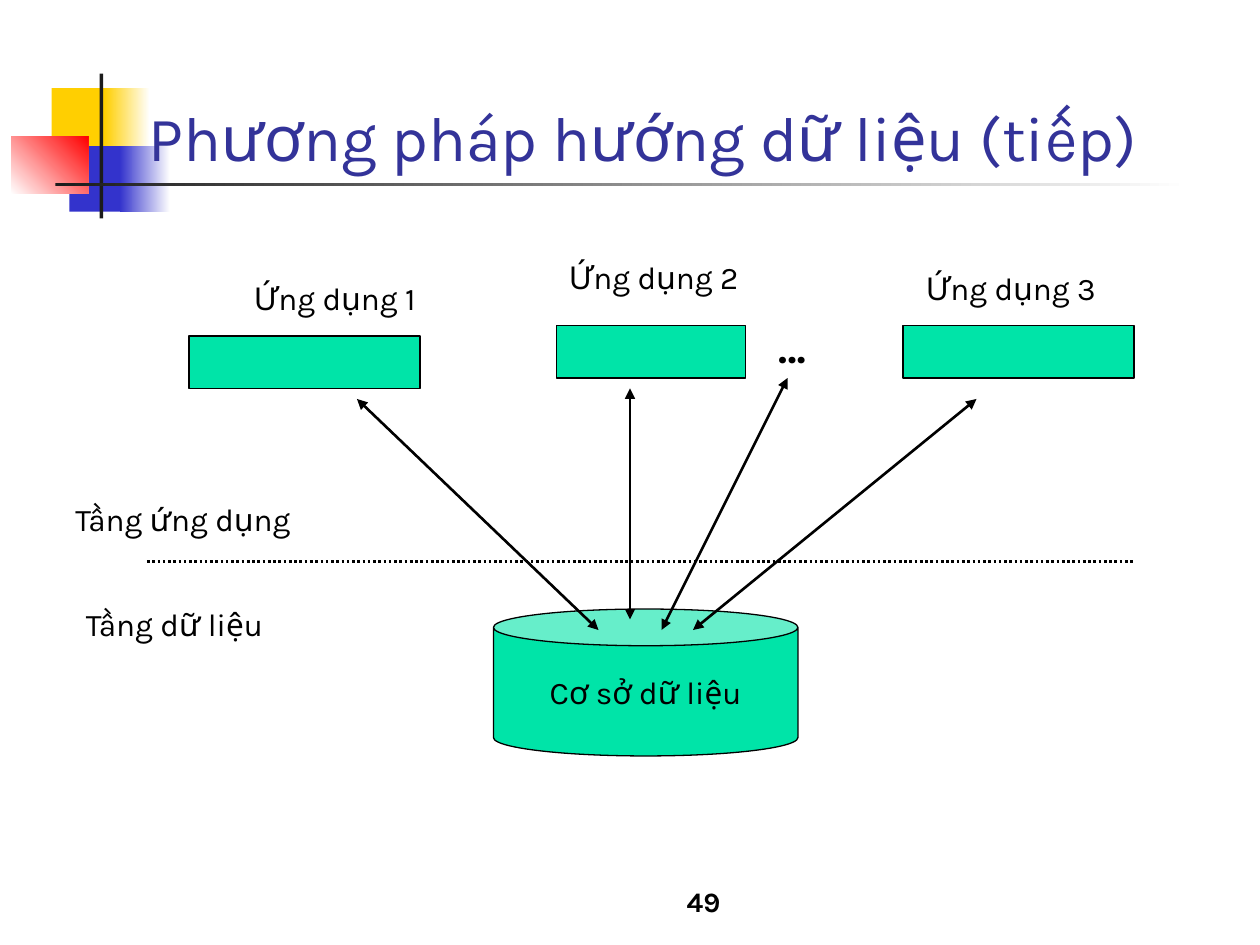
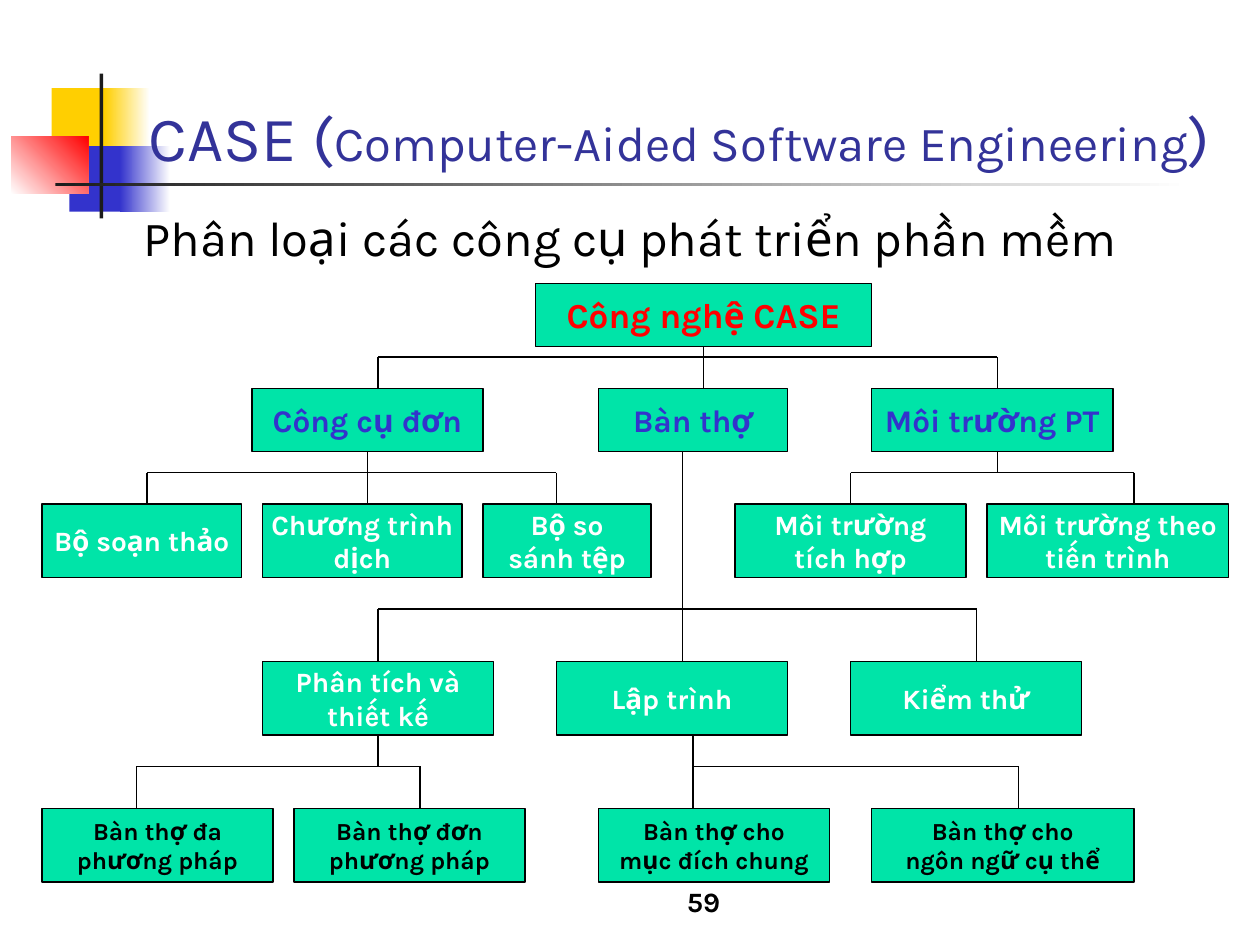
import pptx
import pptx.util
import pptx.dml.color
import pptx.enum.dml
import pptx.enum.shapes
import pptx.enum.text
import pptx.oxml
import pptx.oxml.ns

SHAPE = pptx.enum.shapes.MSO_SHAPE
ALIGN = pptx.enum.text.PP_ALIGN
ANCHOR = pptx.enum.text.MSO_ANCHOR

# Grid of 120 columns by 90 rows: twelve cells to the inch
CELL = pptx.util.Inches(1) // 12
COLS, ROWS = 120, 90

FONT = "Karla"
BLACK, WHITE, RED = "000000", "FFFFFF", "FF0000"
GREEN, BLUE, NAVY = "00E4A8", "3333CC", "333399"
YELLOW, DARK = "FFCF01", "1C1C1C"


def cells(*sizes):
    return [round(size * CELL) for size in sizes]


def paint(color):
    return pptx.dml.color.RGBColor.from_string(color)


def inside(box, left, top):
    return box[0] + left, box[1] + top


def style(frame, size, color, bold=False, align=ALIGN.LEFT, before=0):
    for para in frame.paragraphs:
        para.alignment = align
        para.space_before = pptx.util.Pt(before)
        for run in para.runs:
            run.font.name = FONT
            run.font.size = pptx.util.Pt(size)
            run.font.bold = bold
            run.font.color.rgb = paint(color)


def label(slide, box, text, size, color=BLACK, anchor=ANCHOR.TOP, **look):
    frame = slide.shapes.add_textbox(*cells(*box)).text_frame
    frame.word_wrap = True
    frame.vertical_anchor = anchor
    frame.text = text
    style(frame, size, color, **look)
    return frame


def block(slide, box, fill, kind=SHAPE.RECTANGLE, edge=None):
    shape = slide.shapes.add_shape(kind, *cells(*box))
    shape.shadow.inherit = False
    shape.fill.solid()
    shape.fill.fore_color.rgb = paint(fill)
    if edge:
        shape.line.color.rgb = paint(edge)
        shape.line.width = pptx.util.Pt(0.75)
    else:
        shape.line.fill.background()
    return shape


def node(slide, box, text="", size=18, color=BLACK, bold=False,
         kind=SHAPE.RECTANGLE):
    shape = block(slide, box, GREEN, kind, BLACK)
    frame = shape.text_frame
    frame.word_wrap = False
    frame.vertical_anchor = ANCHOR.MIDDLE
    frame.text = text
    style(frame, size, color, bold, ALIGN.CENTER)
    return shape


def fade(slide, box, first, last, angle=0):
    fill = block(slide, box, first).fill
    fill.gradient()
    fill.gradient_angle = angle
    for stop, color in zip(fill.gradient_stops, (first, last)):
        stop.color.rgb = paint(color)


def wire(slide, start, end, width=0.75, dash=None, heads=False):
    line = slide.shapes.add_connector(
        pptx.enum.shapes.MSO_CONNECTOR.STRAIGHT, *cells(*start, *end))
    line.line.color.rgb = paint(BLACK)
    line.line.width = pptx.util.Pt(width)
    if dash:
        line.line.dash_style = dash
    props = line.element.spPr
    if heads:
        edge = props.find(pptx.oxml.ns.qn("a:ln"))
        for tag in ("headEnd", "tailEnd"):
            edge.append(pptx.oxml.parse_xml(
                f'<a:{tag} {pptx.oxml.ns.nsdecls("a")} type="triangle"/>'))
    props.append(pptx.oxml.parse_xml(
        f'<a:effectLst {pptx.oxml.ns.nsdecls("a")}/>'))
    return line


# Shared frame: emblem, title and page number
def emblem(slide, box):
    def part(left, top, width, height):
        return (*inside(box, left, top), width, height)

    block(slide, part(3.92, 1.4, 5.76, 6.24), YELLOW)
    fade(slide, part(8.96, 1.4, 4.32, 6.24), YELLOW, WHITE)
    block(slide, part(5.6, 6.92, 5.52, 6.24), BLUE)
    fade(slide, part(10.4, 6.92, 4.8, 6.24), BLUE, WHITE)
    fade(slide, part(0.08, 5.96, 7.32, 5.52), WHITE, RED, 45)
    block(slide, part(8.48, 0, 0.36, 13.8), DARK)
    fade(slide, part(4.28, 10.4, 108, 0.36), DARK, WHITE)


def heading(slide, box, parts):
    frame = label(slide, box, "", 36, anchor=ANCHOR.BOTTOM)
    para = frame.paragraphs[0]
    for text, _ in parts:
        para.add_run().text = text
    style(frame, 36, NAVY)
    for run, (_, size) in zip(para.runs, parts):
        run.font.size = pptx.util.Pt(size)


def page(deck, parts, number):
    slide = deck.slides.add_slide(deck.slide_layouts[6])
    emblem(slide, (1, 7, 113, 14))
    label(slide, (48, 82, 38, 6), number, 16, anchor=ANCHOR.BOTTOM,
          bold=True, align=ALIGN.CENTER)
    heading(slide, (13, 6, 104, 11.16), parts)
    return slide


# Applications sharing one database
def layers(slide, box):
    node(slide, (*inside(box, 41, 34), 29, 14), "Cơ sở dữ liệu", kind=SHAPE.CAN)
    apps = [(12, 8, 22, 17, 2), (47, 7, 18, 47, 0), (80, 7, 22, 81, 1)]
    for count, (left, top, width, side, rise) in enumerate(apps, 1):
        node(slide, (*inside(box, left, top), width, 5))
        label(slide, (*inside(box, side, rise), 24, 5),
              f"Ứng dụng {count}", 18, before=11.2)
    label(slide, (*inside(box, 67, 6), 13, 6), "…", 24, bold=True, before=15)

    # Tiers and the line between them
    wire(slide, inside(box, 8, 29.5), inside(box, 102, 29.5), 1.5,
         pptx.enum.dml.MSO_LINE.ROUND_DOT)
    for left, top, text in [(0, 23, "Tầng ứng dụng"), (1, 33, "Tầng dữ liệu")]:
        label(slide, (*inside(box, left, top), 24, 5), text, 18, before=11.2)

    # Access arrows
    for start, end in [((28, 14), (51, 36)), ((87, 14), (60, 36)),
                       ((69, 12), (57, 36)), ((54, 13), (54, 35))]:
        wire(slide, inside(box, *start), inside(box, *end), 1.5, heads=True)


# Tree levels: row, height, size, colour, then (left, width, text) of each node
LEVELS = [
    (0, 6, 20, RED, [(47, 32, "Công nghệ CASE")]),
    (10, 6, 18, BLUE, [(20, 22, "Công cụ đơn"), (53, 18, "Bàn thợ"),
                       (79, 23, "Môi trường PT")]),
    (21, 7, 16, WHITE, [(0, 19, "Bộ soạn thảo"), (21, 19, "Chương trình\ndịch"),
                        (42, 16, "Bộ so\nsánh tệp"),
                        (66, 22, "Môi trường\ntích hợp"),
                        (90, 23, "Môi trường theo\ntiến trình")]),
    (36, 7, 16, WHITE, [(21, 22, "Phân tích và\nthiết kế"),
                        (49, 22, "Lập trình"), (77, 22, "Kiểm thử")]),
    (50, 7, 14, BLACK, [(0, 22, "Bàn thợ đa\nphương pháp"),
                        (24, 22, "Bàn thợ đơn\nphương pháp"),
                        (53, 22, "Bàn thợ cho\nmục đích chung"),
                        (79, 25, "Bàn thợ cho\nngôn ngữ cụ thể")]),
]

# Branches: parent, stem column, bar row, then (column, child) of each drop;
# a node is named by its level and its place there
BRANCHES = [
    ((0, 0), 63, 7, [(32, (1, 0)), (63, (1, 1)), (91, (1, 2))]),
    ((1, 0), 31, 18, [(10, (2, 0)), (31, (2, 1)), (49, (2, 2))]),
    ((1, 2), 91, 18, [(77, (2, 3)), (104, (2, 4))]),
    ((1, 1), 61, 31, [(32, (3, 0)), (61, (3, 1)), (89, (3, 2))]),
    ((3, 0), 32, 46, [(9, (4, 0)), (36, (4, 1))]),
    ((3, 1), 62, 46, [(62, (4, 2)), (93, (4, 3))]),
]


def tree(slide, box):
    nodes = {}
    for depth, (top, height, size, color, items) in enumerate(LEVELS):
        for place, (left, width, text) in enumerate(items):
            spot = (*inside(box, left, top), width, height)
            nodes[depth, place] = node(slide, spot, text, size, color, True)

    def middle(key, col):
        left, width, _ = LEVELS[key[0]][4][key[1]]
        return left + width / 2 == col

    def stalk(col, start, end, upper=None, lower=None):
        line = wire(slide, inside(box, col, start), inside(box, col, end))
        if upper and middle(upper, col):
            line.begin_connect(nodes[upper], 2)
        if lower and middle(lower, col):
            line.end_connect(nodes[lower], 0)

    for owner, stem, bar, drops in BRANCHES:
        foot = sum(LEVELS[owner[0]][:2])
        ends = [col for col, _ in drops]
        wire(slide, inside(box, min(ends), bar), inside(box, max(ends), bar))
        if stem not in ends:
            stalk(stem, foot, bar, upper=owner)
        for col, child in drops:
            top = LEVELS[child[0]][0]
            if col == stem:
                stalk(col, foot, top, owner, child)
            else:
                stalk(col, bar, top, lower=child)


def main():
    deck = pptx.Presentation()
    deck.slide_width, deck.slide_height = cells(COLS, ROWS)

    slide = page(deck, [("Phương pháp hướng dữ liệu (tiếp)", 36)], "49")
    layers(slide, (6, 24, 102, 48))

    slide = page(deck, [("CASE (", 36),
                        ("Computer-Aided Software Engineering", 28),
                        (")", 36)], "59")
    tree(slide, (4, 27, 113, 57))
    label(slide, (12.5, 19.2, 97, 6.8),
          "Phân loại các công cụ phát triển phần mềm", 28)

    deck.save("out.pptx")


if __name__ == "__main__":
    main()
